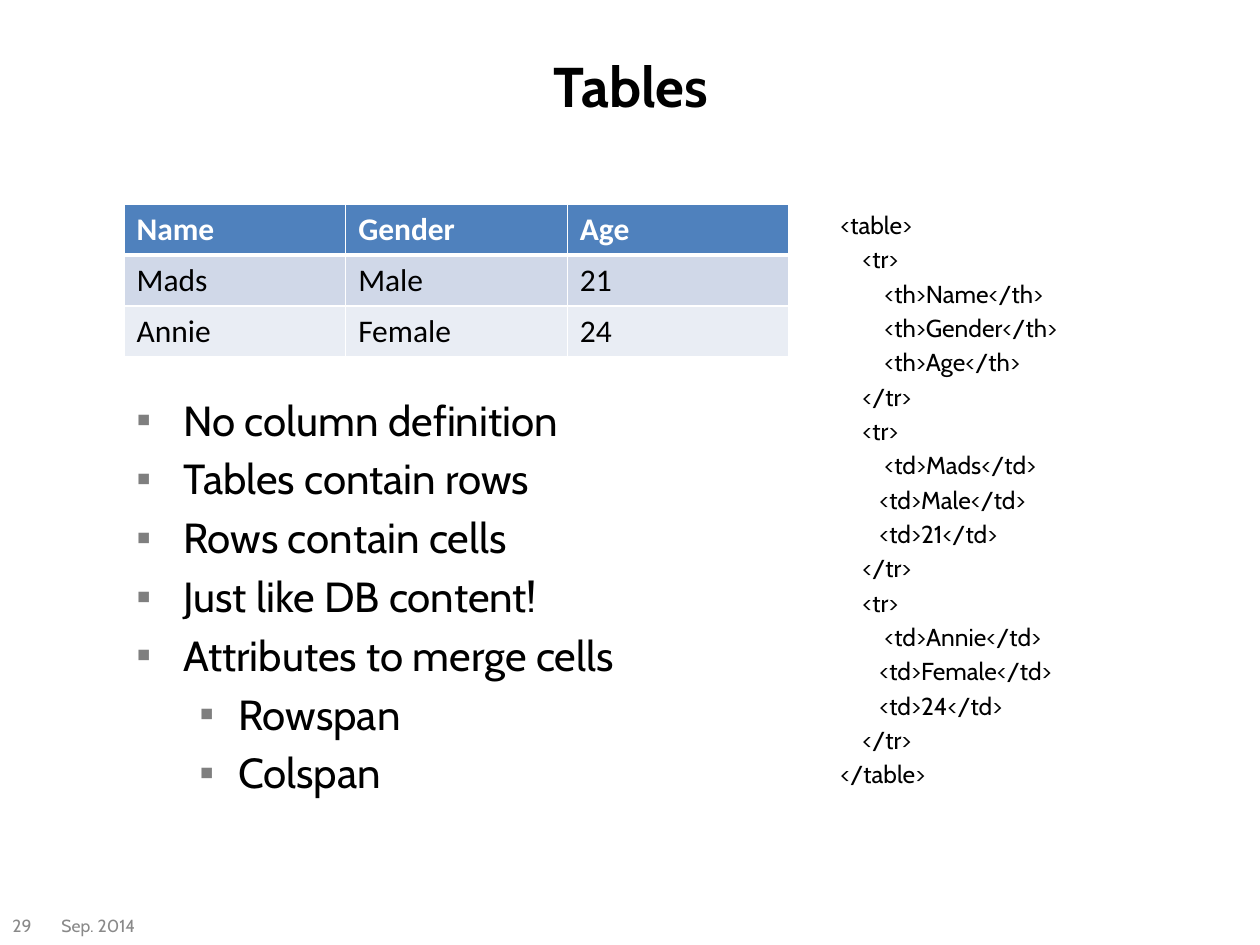
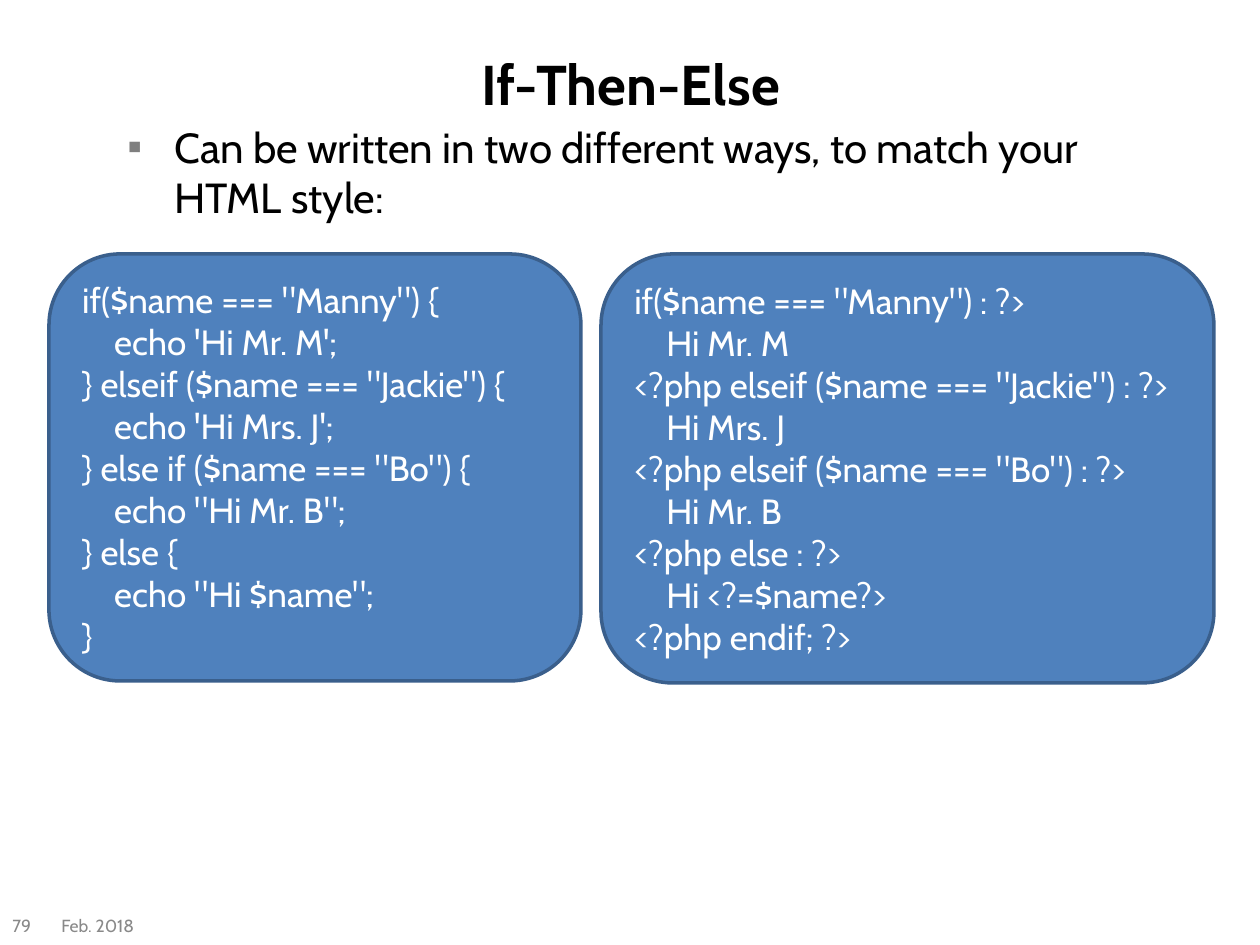
from lxml import etree
from pptx import Presentation
from pptx.dml.color import RGBColor as RGB
from pptx.enum.shapes import MSO_SHAPE as Shape
from pptx.enum.text import MSO_ANCHOR as Anchor, PP_ALIGN as Align
from pptx.oxml.ns import qn
from pptx.util import Pt

PX = 914400 / 126  # EMU per px
FONT, GRID_FONT = "Cabin", "Calibri"
BLACK = RGB(0, 0, 0)
WHITE = RGB(255, 255, 255)
BLUE = RGB(0x4F, 0x81, 0xBD)
EDGE = RGB(0x3A, 0x5F, 0x8C)
BANDS = RGB(0xD0, 0xD8, 0xE8), RGB(0xE9, 0xED, 0xF4)
GREY = RGB(0x89, 0x89, 0x89)
MARK = RGB(0x7F, 0x7F, 0x7F)

# Code lines: (indent in px, text)
TAGS = [
    (0, "<table>"),
    (22, "<tr>"), (44, "<th>Name</th>"), (44, "<th>Gender</th>"),
    (44, "<th>Age</th>"), (22, "</tr>"),
    (22, "<tr>"), (44, "<td>Mads</td>"), (39, "<td>Male</td>"),
    (39, "<td>21</td>"), (22, "</tr>"),
    (22, "<tr>"), (44, "<td>Annie</td>"), (39, "<td>Female</td>"),
    (39, "<td>24</td>"), (22, "</tr>"),
    (0, "</table>"),
]
BRACES = [
    (0, 'if($name === "Manny") {'), (32, "echo 'Hi Mr. M';"),
    (0, '} elseif ($name === "Jackie") {'), (32, "echo 'Hi Mrs. J';"),
    (0, '} else if ($name === "Bo") {'), (32, 'echo "Hi Mr. B";'),
    (0, "} else {"), (32, 'echo "Hi $name";'),
    (0, "}"),
]
COLONS = [
    (0, 'if($name === "Manny") : ?>'), (32, "Hi Mr. M"),
    (0, '<?php elseif ($name === "Jackie") : ?>'), (32, "Hi Mrs. J"),
    (0, '<?php elseif ($name === "Bo") : ?>'), (32, "Hi Mr. B"),
    (0, "<?php else : ?>"), (32, "Hi <?=$name?>"),
    (0, "<?php endif; ?>"),
]
PEOPLE = [("Name", "Gender", "Age"), ("Mads", "Male", "21"),
          ("Annie", "Female", "24")]
# Bullet lines: (level, text)
FACTS = [
    (0, "No column definition"), (0, "Tables contain rows"),
    (0, "Rows contain cells"), (0, "Just like DB content!"),
    (0, "Attributes to merge cells"), (1, "Rowspan"), (1, "Colspan"),
]
HANGS = (47, 47), (102, 39)  # left margin and hang of each level


def emu(*sizes):
    return [round(size * PX) for size in sizes]


def style(para, size, color, bold=False, face=FONT):
    font = para.font
    font.name, font.size, font.bold = face, Pt(size), bold
    font.color.rgb = color


def indent(para, left, hang=0):
    props = para._p.get_or_add_pPr()
    props.set("marL", str(round(left * PX)))
    props.set("indent", str(round(-hang * PX)))
    return props


def solid(parent, color):
    fill = etree.SubElement(parent, qn("a:solidFill"))
    etree.SubElement(fill, qn("a:srgbClr")).set("val", str(color))


def bullet(para, level):
    para.level = level
    props = indent(para, *HANGS[level])
    tint = etree.SubElement(props, qn("a:buClr"))
    etree.SubElement(tint, qn("a:srgbClr")).set("val", str(MARK))
    etree.SubElement(props, qn("a:buFont")).set("typeface", "Arial")
    etree.SubElement(props, qn("a:buChar")).set("char", "▪")


def write(frame, lines, size, color, form=indent, gap=0):
    """Fill a frame with (step, text) lines, each laid out by form."""
    frame.word_wrap = True
    for i, (step, text) in enumerate(lines):
        para = frame.add_paragraph() if i else frame.paragraphs[0]
        para.text = text
        para.alignment = Align.LEFT
        para.space_before = Pt(size * gap)
        form(para, step)
        style(para, size, color)


def text_box(slide, box, lines, size, color=BLACK, form=indent, gap=0.2):
    frame = slide.shapes.add_textbox(*emu(*box)).text_frame
    write(frame, lines, size, color, form, gap)
    return frame


def code_box(slide, box, lines):
    card = slide.shapes.add_shape(Shape.ROUNDED_RECTANGLE, *emu(*box))
    card.shadow.inherit = False
    card.fill.solid()
    card.fill.fore_color.rgb = BLUE
    card.line.color.rgb, card.line.width = EDGE, Pt(2)
    card.text_frame.vertical_anchor = Anchor.MIDDLE
    write(card.text_frame, lines, 20, WHITE)


def border(cell, bottom):
    props = cell._tc.get_or_add_tcPr()
    for side in "LRTB":
        line = etree.SubElement(props, qn("a:ln" + side))
        line.set("w", str(Pt(bottom if side == "B" else 1)))
        solid(line, WHITE)


def grid(slide, box, rows):
    count = len(rows)
    table = slide.shapes.add_table(count, len(rows[0]), *emu(*box)).table
    for r, row in enumerate(rows):
        head = r == 0
        for c, text in enumerate(row):
            cell = table.cell(r, c)
            cell.text = text
            border(cell, 3 if head else 1)
            cell.fill.solid()
            cell.fill.fore_color.rgb = BLUE if head else BANDS[(r - 1) % 2]
            style(cell.text_frame.paragraphs[0], 18,
                  WHITE if head else BLACK, head, GRID_FONT)


def new_slide(deck, title, top, height, date, number):
    """Add a slide with its title and footer."""
    slide = deck.slides.add_slide(deck.slide_layouts[5])
    head = slide.shapes.title
    head.left, head.top, head.width, head.height = emu(64, top, 1134, height)
    head.text = title
    head.text_frame.vertical_anchor = Anchor.MIDDLE
    para = head.text_frame.paragraphs[0]
    para.alignment = Align.CENTER
    style(para, 32, BLACK, True)
    for left, width, text in (49, 118, date), (0, 59, number):
        foot = text_box(slide, (left, 906, width, 39), [(0, text)], 10,
                        GREY, gap=0)
        foot.vertical_anchor = Anchor.MIDDLE
    return slide


def main():
    deck = Presentation()
    deck.slide_width, deck.slide_height = emu(1260, 945)

    # Tables
    slide = new_slide(deck, "Tables", 6, 158, "Sep. 2014", "29")
    text_box(slide, (828, 204, 358, 617), TAGS, 14)
    grid(slide, (124, 204, 665, 153), PEOPLE)
    text_box(slide, (124, 388, 595, 452), FACTS, 24, form=bullet)

    # If-Then-Else
    slide = new_slide(deck, "If-Then-Else", 11, 144, "Feb. 2018", "79")
    note = "Can be written in two different ways, to match your HTML style:"
    text_box(slide, (115, 115, 1033, 709), [(0, note)], 24, form=bullet)
    code_box(slide, (49, 254, 532, 427), BRACES)
    code_box(slide, (601, 254, 613, 429), COLONS)

    deck.save("out.pptx")


if __name__ == "__main__":
    main()
